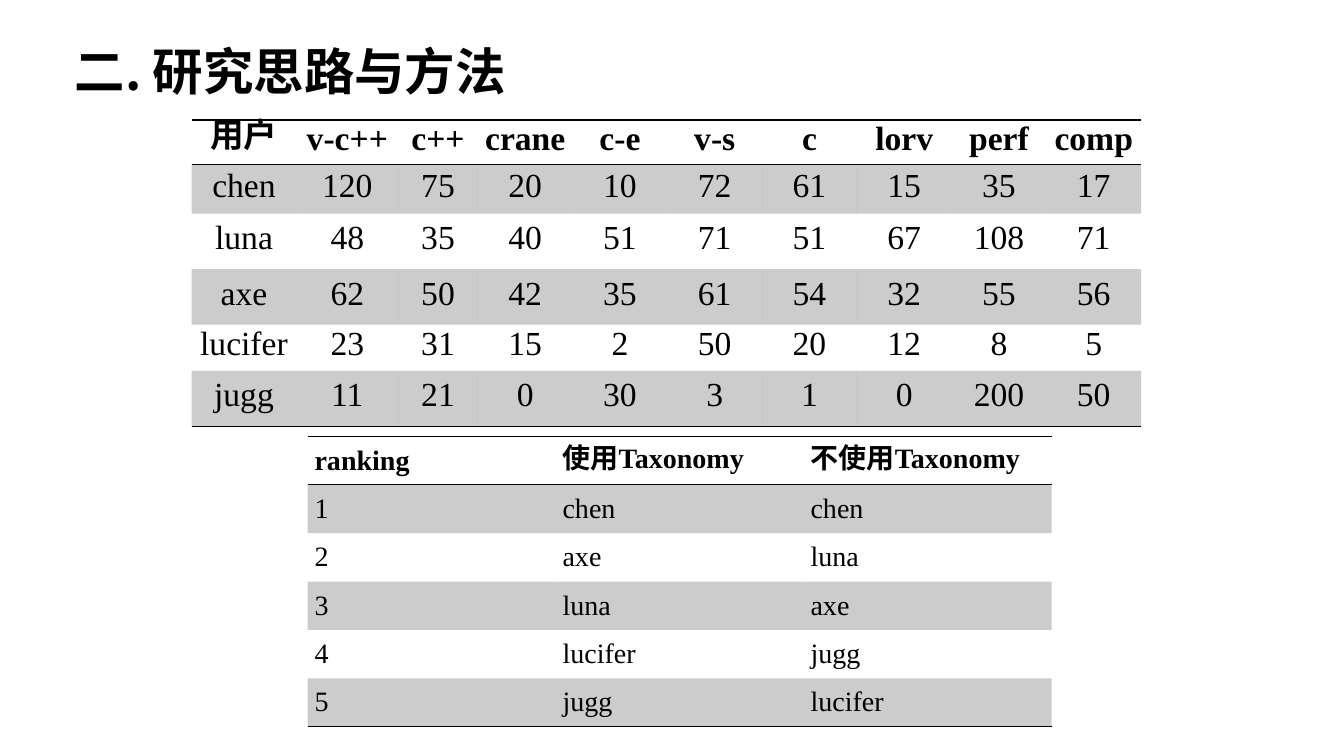
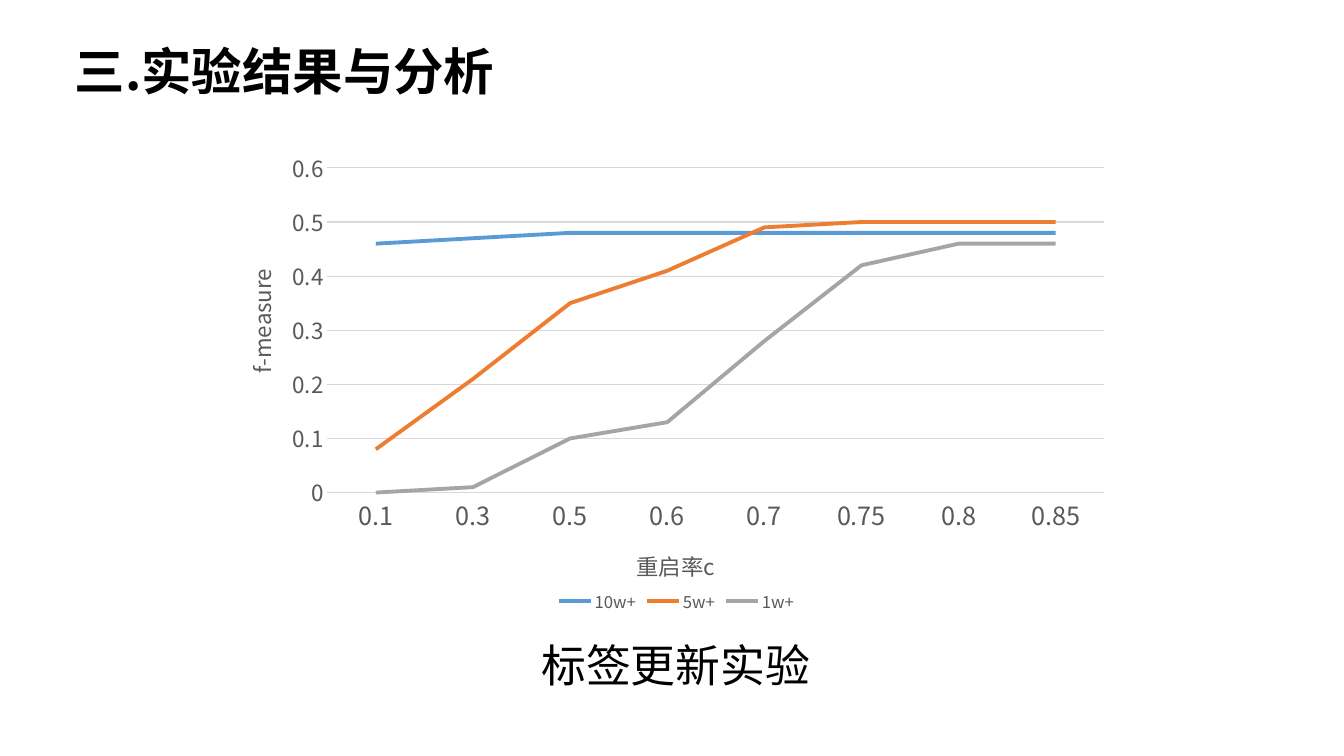
from lxml import etree
from pptx import Presentation
from pptx.chart.data import CategoryChartData
from pptx.dml.color import RGBColor
from pptx.enum.chart import XL_CHART_TYPE, XL_LEGEND_POSITION, XL_TICK_MARK
from pptx.enum.text import MSO_ANCHOR, MSO_AUTO_SIZE, PP_ALIGN
from pptx.oxml.ns import qn
from pptx.util import Inches, Pt

LINE_CHART = XL_CHART_TYPE.LINE
LEGEND_BOTTOM = XL_LEGEND_POSITION.BOTTOM
NO_TICK = XL_TICK_MARK.NONE
TOP, MIDDLE = MSO_ANCHOR.TOP, MSO_ANCHOR.MIDDLE
FIT_SHAPE = MSO_AUTO_SIZE.SHAPE_TO_FIT_TEXT
LEFT, CENTER, JUSTIFY = PP_ALIGN.LEFT, PP_ALIGN.CENTER, PP_ALIGN.JUSTIFY

SANS, SERIF = "Noto Sans CJK SC", "Times New Roman"
COLORS = {
    "ink": "000000",
    "label": "595959",
    "grid": "D9D9D9",
    "blue": "5B9BD5",
    "orange": "ED7D31",
    "gray": "A5A5A5",
}
TITLE_ONLY = 5
PLAIN_TABLE_STYLE = "{2D5ABB26-0587-4C30-8999-92F81FD0307C}"
BAND_ALPHA = 20


def rgb(name):
    return RGBColor.from_string(COLORS[name])


def write(frame, text, size, font=SANS, color="ink", bold=False, align=LEFT, spacing=None):
    """Fill a text frame with one formatted paragraph."""
    para = frame.paragraphs[0]
    para.alignment = align
    if spacing:
        para.line_spacing = Pt(spacing)
    span = para.add_run()
    span.text = text
    span.font.size, span.font.bold = Pt(size), bold
    span.font.color.rgb = rgb(color)
    span.font.name = font
    # Chinese characters always use the sans face
    latin = span.font._element.find(qn("a:latin"))
    east_asian = etree.Element(qn("a:ea"), typeface=SANS)
    latin.addnext(east_asian)


def rule_cell(cell, side):
    """Draw a 1 pt border on one side ("a:lnT" or "a:lnB") of a cell."""
    line = etree.Element(qn(side), w=str(Pt(1)))
    fill = etree.SubElement(line, qn("a:solidFill"))
    etree.SubElement(fill, qn("a:srgbClr"), val=COLORS["ink"])
    cell._tc.get_or_add_tcPr().insert(0, line)


def shade_cell(cell):
    cell.fill.solid()
    cell.fill.fore_color.rgb = rgb("ink")
    color = cell._tc.tcPr.find(".//" + qn("a:srgbClr"))
    etree.SubElement(color, qn("a:alpha"), val=str(BAND_ALPHA * 1000))


def place(parent, index, inner=False, **fractions):
    """Give a chart part a manual layout in fractions of the chart."""
    old = parent.find(qn("c:layout"))
    if old is not None:
        parent.remove(old)
    layout = etree.Element(qn("c:layout"))
    manual = etree.SubElement(layout, qn("c:manualLayout"))
    if inner:
        etree.SubElement(manual, qn("c:layoutTarget"), val="inner")
    for mode in ("xMode", "yMode"):
        etree.SubElement(manual, qn("c:" + mode), val="edge")
    for key, value in fractions.items():
        etree.SubElement(manual, qn("c:" + key), val=str(value))
    parent.insert(index, layout)


def style_font(font, size, color="label"):
    font.size, font.name = Pt(size), SANS
    font.color.rgb = rgb(color)


class Deck:
    """Shared style and the slide being built."""

    def __init__(self):
        self.deck = Presentation()
        self.deck.slide_width, self.deck.slide_height = Inches(13.33), Inches(7.5)
        self.page = None

    def add_page(self, title):
        self.page = self.deck.slides.add_slide(self.deck.slide_layouts[TITLE_ONLY])
        box = self.page.shapes.title
        box.left, box.top = Inches(0.64), Inches(0.35)
        box.width, box.height = Inches(5.48), Inches(0.71)
        frame = box.text_frame
        frame.vertical_anchor, frame.auto_size = TOP, FIT_SHAPE
        write(frame, title, 36, bold=True)

    def add_caption(self, text, left, top, width, height):
        box = self.page.shapes.add_textbox(*map(Inches, (left, top, width, height)))
        frame = box.text_frame
        frame.word_wrap, frame.auto_size = False, FIT_SHAPE
        write(frame, text, 32)

    def add_table(self, rows, left, top, widths, heights, size, align):
        """Three-rule table with shaded odd body rows."""
        box = self.page.shapes.add_table(
            len(rows), len(widths), Inches(left), Inches(top),
            Inches(sum(widths)), Inches(sum(heights)))
        table = box.table
        table.first_row = table.horz_banding = False
        table._tbl.tblPr.find(qn("a:tableStyleId")).text = PLAIN_TABLE_STYLE
        for column, width in zip(table.columns, widths):
            column.width = Inches(width)
        for row, height in zip(table.rows, heights):
            row.height = Inches(height)
        for row_index, texts in enumerate(rows):
            header = row_index == 0
            for column_index, text in enumerate(texts):
                cell = table.cell(row_index, column_index)
                cell.vertical_anchor = MIDDLE
                cell.margin_left = cell.margin_right = Inches(0.07)
                cell.margin_top = cell.margin_bottom = 0
                write(cell.text_frame, text, size, SERIF, bold=header, align=align, spacing=22)
                if row_index % 2:
                    shade_cell(cell)
                else:
                    cell.fill.background()
                if header or row_index == len(rows) - 1:
                    rule_cell(cell, "a:lnB")
                if header:
                    rule_cell(cell, "a:lnT")

    def style_axis(self, axis, title, size, **position):
        axis.major_tick_mark = axis.minor_tick_mark = NO_TICK
        style_font(axis.tick_labels.font, size)
        write(axis.axis_title.text_frame, title, 16, color="label", align=CENTER)
        place(axis.axis_title.element, 1, **position)

    def add_line_chart(self, categories, series, left, top, width, height):
        data = CategoryChartData()
        data.categories = categories
        for name, _, values in series:
            data.add_series(name, values)
        chart = self.page.shapes.add_chart(
            LINE_CHART, *map(Inches, (left, top, width, height)), data).chart
        style_font(chart.font, 10, "ink")
        chart.has_title = False
        chart.plots[0].vary_by_categories = False
        place(chart.element.find(".//" + qn("c:plotArea")), 0, inner=True,
              x=0.1, y=0.03, w=0.89, h=0.7)

        # Lines
        for line, (_, color, _) in zip(chart.plots[0].series, series):
            line.smooth = False
            line.format.line.width = Pt(2.75)
            line.format.line.color.rgb = rgb(color)

        # Axes
        across, up = chart.category_axis, chart.value_axis
        self.style_axis(across, "重启率c", 18, x=0.45, y=0.84)
        self.style_axis(up, "f-measure", 16, x=0, y=0.24)
        across.format.line.width = Pt(1)
        across.format.line.color.rgb = rgb("grid")
        up.format.line.fill.background()
        up.minimum_scale, up.maximum_scale, up.major_unit = 0, 0.6, 0.1
        up.major_gridlines.format.line.width = Pt(0.75)
        up.major_gridlines.format.line.color.rgb = rgb("grid")

        # Legend
        chart.has_legend = True
        chart.legend.position = LEGEND_BOTTOM
        chart.legend.include_in_layout = False
        style_font(chart.legend.font, 12)

    def save(self):
        self.deck.save("out.pptx")


SKILL_ROWS = [row.split() for row in (
    "用户 v-c++ c++ crane c-e v-s c lorv perf comp",
    "chen 120 75 20 10 72 61 15 35 17",
    "luna 48 35 40 51 71 51 67 108 71",
    "axe 62 50 42 35 61 54 32 55 56",
    "lucifer 23 31 15 2 50 20 12 8 5",
    "jugg 11 21 0 30 3 1 0 200 50",
)]
RANKING_ROWS = [row.split() for row in (
    "ranking 使用Taxonomy 不使用Taxonomy",
    "1 chen chen",
    "2 axe luna",
    "3 luna axe",
    "4 lucifer jugg",
    "5 jugg lucifer",
)]
RESTART_RATES = ["0.1", "0.3", "0.5", "0.6", "0.7", "0.75", "0.8", "0.85"]
F_MEASURES = [
    ("10w+", "blue", (0.46, 0.47, 0.48, 0.48, 0.48, 0.48, 0.48, 0.48)),
    ("5w+", "orange", (0.08, 0.21, 0.35, 0.41, 0.49, 0.5, 0.5, 0.5)),
    ("1w+", "gray", (0, 0.01, 0.1, 0.13, 0.28, 0.42, 0.46, 0.46)),
]


def main():
    deck = Deck()

    # Method: skill scores and the rankings they lead to
    deck.add_page("二. 研究思路与方法")
    deck.add_table(SKILL_ROWS, 1.9, 1.19, [1.04, 1.01, 0.79] + [0.94] * 7,
                   [0.44, 0.49, 0.55, 0.55, 0.46, 0.55], 24, CENTER)
    deck.add_table(RANKING_ROWS, 3.05, 4.33, [2.46] * 3, [0.48] * 6, 20, JUSTIFY)

    # Results: f-measure by restart rate
    deck.add_page("三.实验结果与分析")
    deck.add_caption("标签更新实验", 5.27, 6.28, 2.89, 0.64)
    deck.add_line_chart(RESTART_RATES, F_MEASURES, 2.38, 1.51, 8.66, 4.62)

    deck.save()


if __name__ == "__main__":
    main()
